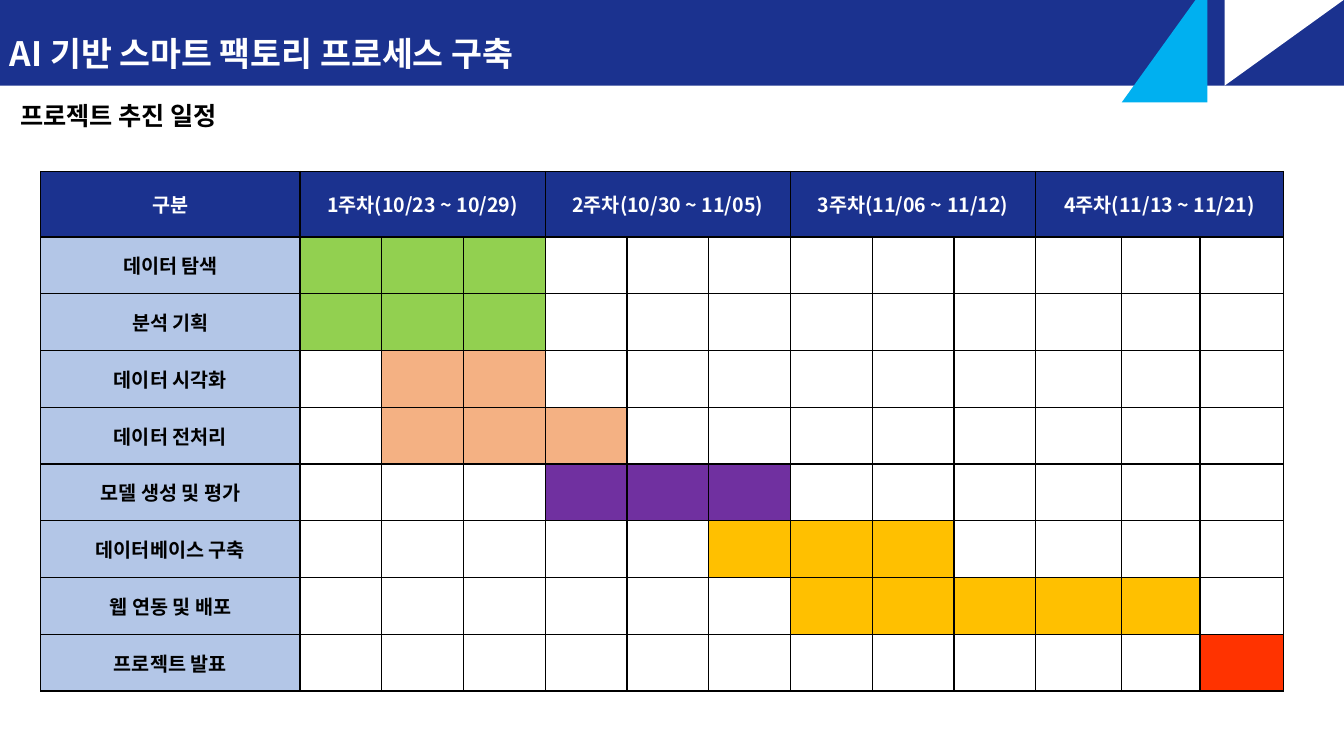
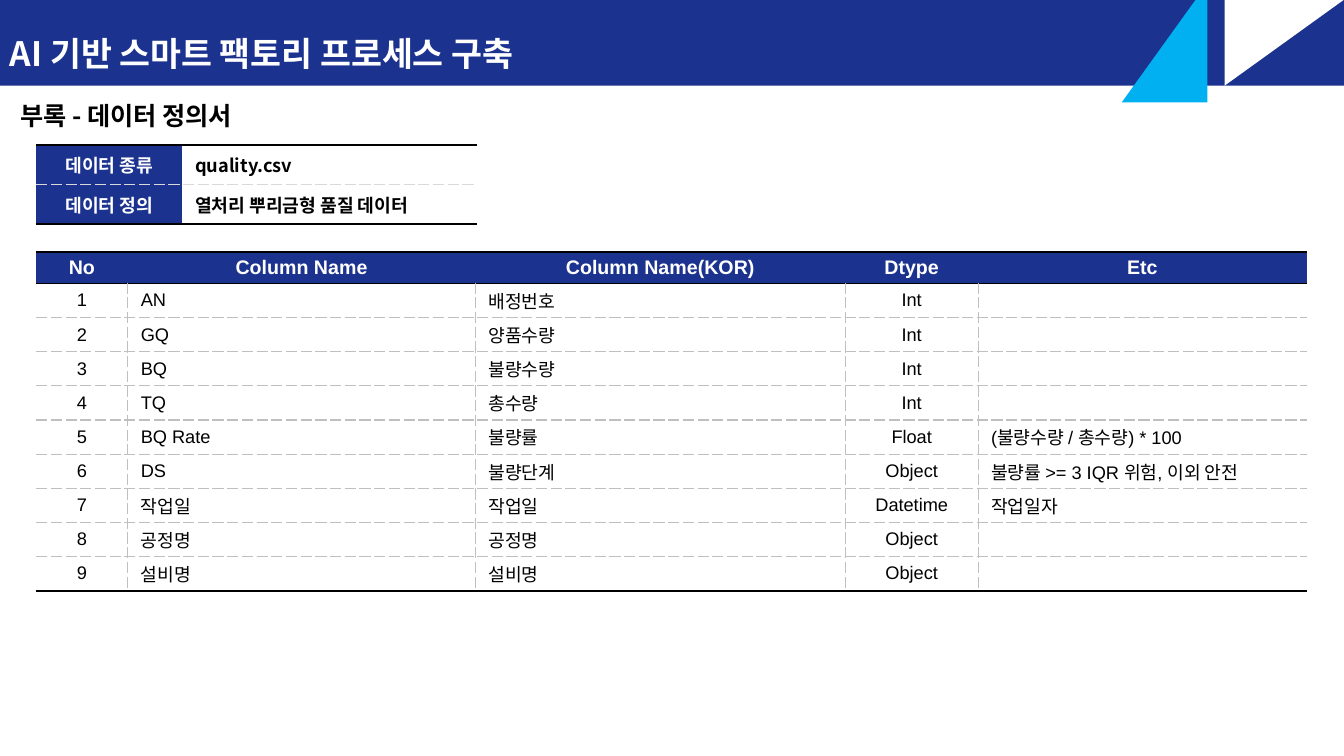
from lxml import etree
from pptx import Presentation
from pptx.dml.color import RGBColor
from pptx.enum.shapes import MSO_SHAPE
from pptx.enum.text import MSO_ANCHOR, PP_ALIGN
from pptx.oxml.ns import qn
from pptx.util import Cm, Pt

RECT, TRIANGLE = MSO_SHAPE.RECTANGLE, MSO_SHAPE.RIGHT_TRIANGLE
LEFT, CENTER = PP_ALIGN.LEFT, PP_ALIGN.CENTER
MIDDLE = MSO_ANCHOR.MIDDLE

NAVY = RGBColor(0x1B, 0x32, 0x8F)
SKY = RGBColor(0x00, 0xB0, 0xF0)
WHITE = RGBColor(0xFF, 0xFF, 0xFF)
BLACK = RGBColor(0x00, 0x00, 0x00)
PALE_BLUE = RGBColor(0xB3, 0xC6, 0xE7)
GREEN = RGBColor(0x92, 0xD0, 0x50)
ORANGE = RGBColor(0xF4, 0xB1, 0x83)
PURPLE = RGBColor(0x70, 0x30, 0xA0)
GOLD = RGBColor(0xFF, 0xC0, 0x00)
RED = RGBColor(0xFF, 0x33, 0x00)
GRAY = RGBColor(0xBF, 0xBF, 0xBF)
LIGHT_GRAY = RGBColor(0xD9, 0xD9, 0xD9)

KOREAN = "Noto Sans CJK KR"
NO_STYLE = "{2D5ABB26-0587-4C30-8999-92F81FD0307C}"

TITLE = {"name": KOREAN, "size": Pt(24), "bold": True, "color": WHITE}
SUBTITLE = TITLE | {"size": Pt(18), "color": BLACK}
GANTT_HEAD = TITLE | {"size": Pt(14)}
GANTT_TASK = GANTT_HEAD | {"color": BLACK}
INFO_LABEL = TITLE | {"size": Pt(13)}
INFO_VALUE = INFO_LABEL | {"color": BLACK}
DATA_HEAD = {"name": "Arial", "size": Pt(14), "bold": True, "color": WHITE}
DATA_BODY = {"name": "Arial", "size": Pt(13), "bold": False, "color": BLACK}

THIN = (BLACK, 1, "solid")
THICK = (BLACK, 1.5, "solid")
DASH = (GRAY, 1, "sysDash")
LIGHT_DASH = (LIGHT_GRAY, 1, "sysDash")


def write(tf, text, fmt, align=LEFT):
    p = tf.paragraphs[0]
    p.alignment = align
    if not text:
        etree.SubElement(p._p, qn("a:endParaRPr"), sz=str(int(fmt["size"].pt * 100)))
        return
    r = p.add_run()
    r.text = text
    for key, value in fmt.items():
        if key == "color":
            r.font.color.rgb = value
        else:
            setattr(r.font, key, value)
    etree.SubElement(r._r.get_or_add_rPr(), qn("a:ea"), typeface=KOREAN)


def add_table(slide, left, top, widths, heights, cells, margins):
    frame = slide.shapes.add_table(len(heights), len(widths), Cm(left), Cm(top),
                                   Cm(sum(widths)), Cm(sum(heights)))
    table = frame.table
    table._tbl.tblPr.find(qn("a:tableStyleId")).text = NO_STYLE
    for column, width in zip(table.columns, widths):
        column.width = Cm(width)
    for row, height in zip(table.rows, heights):
        row.height = Cm(height)
    for i, line in enumerate(cells):
        for j, (text, fmt, fill, align, borders) in enumerate(line):
            cell = table.cell(i, j)
            cell.vertical_anchor = MIDDLE
            cell.margin_left = cell.margin_right = Cm(margins[0])
            cell.margin_top = cell.margin_bottom = Cm(margins[1])
            tcPr = cell._tc.get_or_add_tcPr()
            for side in "LRTB":
                if side in borders:
                    color, width, dash = borders[side]
                    ln = etree.SubElement(tcPr, qn("a:ln" + side), w=str(Pt(width)))
                    solid = etree.SubElement(ln, qn("a:solidFill"))
                    etree.SubElement(solid, qn("a:srgbClr"), val=str(color))
                    etree.SubElement(ln, qn("a:prstDash"), val=dash)
            if fill is None:
                cell.fill.background()
            else:
                cell.fill.solid()
                cell.fill.fore_color.rgb = fill
            write(cell.text_frame, text, fmt, align)
    return table


prs = Presentation()
prs.slide_width, prs.slide_height = Cm(33.87), Cm(19.05)

band_shapes = [
    (RECT, 0, 0, 33.87, 2.16, 0, NAVY),
    (TRIANGLE, 31.28, -0.42, 2.16, 3, 90, WHITE),
    (TRIANGLE, 27.85, 0, 3, 2.16, 270, SKY),
]
slides = []
for subtitle in ("프로젝트 추진 일정", "부록 - 데이터 정의서"):
    s = prs.slides.add_slide(prs.slide_layouts[6])
    slides.append(s)
    for kind, left, top, width, height, rotation, color in band_shapes:
        sp = s.shapes.add_shape(kind, Cm(left), Cm(top), Cm(width), Cm(height))
        sp.rotation = rotation
        sp.shadow.inherit = False
        sp.fill.solid()
        sp.fill.fore_color.rgb = color
        sp.line.fill.background()
        if kind == RECT:
            tf = sp.text_frame
            tf.vertical_anchor = MIDDLE
            write(tf, "AI 기반 스마트 팩토리 프로세스 구축", TITLE)
            tf.paragraphs[0].line_spacing = 1.5
    tf = s.shapes.add_textbox(Cm(0.26), Cm(2.41), Cm(8.56), Cm(1.03)).text_frame
    tf.word_wrap = True
    write(tf, subtitle, SUBTITLE)

schedule_slide, data_slide = slides

weeks = ["1주차(10/23 ~ 10/29)", "2주차(10/30 ~ 11/05)",
         "3주차(11/06 ~ 11/12)", "4주차(11/13 ~ 11/21)"]
tasks = [
    ("데이터 탐색", 1, 3, GREEN),
    ("분석 기획", 1, 3, GREEN),
    ("데이터 시각화", 2, 3, ORANGE),
    ("데이터 전처리", 2, 4, ORANGE),
    ("모델 생성 및 평가", 4, 6, PURPLE),
    ("데이터베이스 구축", 6, 8, GOLD),
    ("웹 연동 및 배포", 7, 11, GOLD),
    ("프로젝트 발표", 12, 12, RED),
]
grid = dict.fromkeys("LRTB", THIN)
head = ["구분"]
for week in weeks:
    head += [week, "", ""]
cells = [[(text, GANTT_HEAD, NAVY, CENTER, grid) for text in head]]
for task, first, last, color in tasks:
    line = [(task, GANTT_TASK, PALE_BLUE, CENTER, grid)]
    for step in range(1, 13):
        fill = color if first <= step <= last else WHITE
        line.append(("", GANTT_TASK, fill, CENTER, grid))
    cells.append(line)
gantt = add_table(schedule_slide, 1.03, 4.32, [6.53] + [2.06] * 9 + [2.16, 1.98, 2.11],
                  [1.65] + [1.43] * len(tasks), cells, (0.25, 0.13))
for j in range(1, 13, 3):
    gantt.cell(0, j).merge(gantt.cell(0, j + 2))

info = [
    ("데이터 종류", "quality.csv", {"T": THICK, "B": LIGHT_DASH}),
    ("데이터 정의", "열처리 뿌리금형 품질 데이터", {"T": LIGHT_DASH, "B": THICK}),
]
cells = [[(label, INFO_LABEL, NAVY, CENTER, borders),
          (value, INFO_VALUE, WHITE, LEFT, borders)] for label, value, borders in info]
add_table(data_slide, 0.91, 3.66, [3.68, 7.42], [0.99] * 2, cells, (0.33, 0.1))

head = ["No", "Column Name", "Column Name(KOR)", "Dtype", "Etc"]
fields = [
    ("AN", "배정번호", "Int", ""),
    ("GQ", "양품수량", "Int", ""),
    ("BQ", "불량수량", "Int", ""),
    ("TQ", "총수량", "Int", ""),
    ("BQ Rate", "불량률", "Float", "(불량수량 / 총수량) * 100"),
    ("DS", "불량단계", "Object", "불량률 >= 3 IQR 위험, 이외 안전"),
    ("작업일", "작업일", "Datetime", "작업일자"),
    ("공정명", "공정명", "Object", ""),
    ("설비명", "설비명", "Object", ""),
]
aligns = [CENTER, LEFT, LEFT, CENTER, LEFT]
cells = [[(text, DATA_HEAD, NAVY, CENTER, {"T": THICK, "B": THICK}) for text in head]]
for number, field in enumerate(fields, 1):
    line = []
    for j, text in enumerate((str(number), *field)):
        borders = {"T": THICK if number == 1 else DASH,
                   "B": THICK if number == len(fields) else DASH}
        if j > 0:
            borders["L"] = DASH
        if j < len(head) - 1:
            borders["R"] = DASH
        line.append((text, DATA_BODY, None, aligns[j], borders))
    cells.append(line)
add_table(data_slide, 0.91, 6.35, [2.31, 8.76, 9.32, 3.35, 8.28],
          [0.76] + [0.86] * len(fields), cells, (0.33, 0.1))

prs.save("out.pptx")
